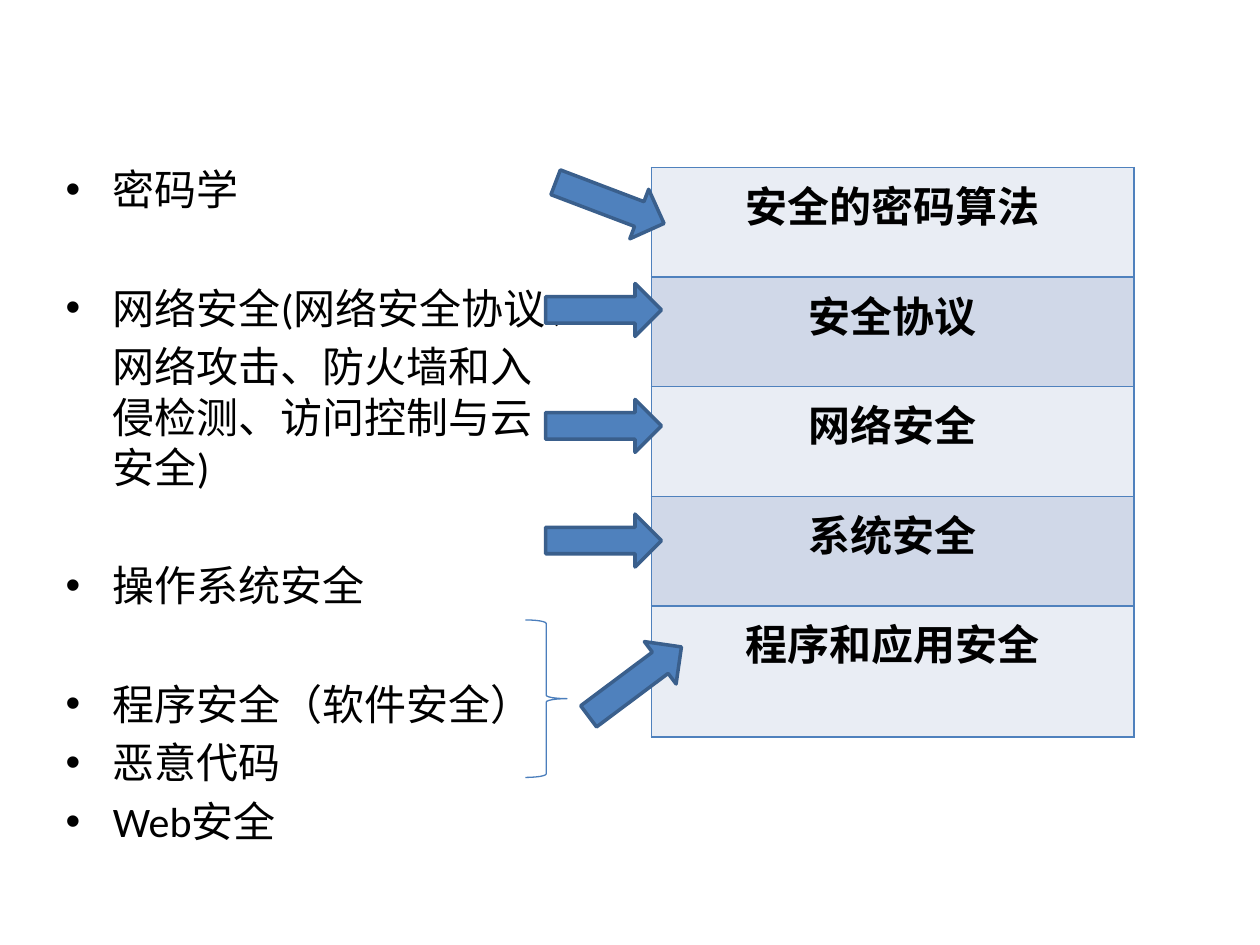
from lxml import etree
from pptx import Presentation
from pptx.dml.color import RGBColor
from pptx.enum.shapes import MSO_SHAPE
from pptx.enum.text import MSO_AUTO_SIZE, PP_ALIGN
from pptx.oxml.ns import qn
from pptx.util import Inches, Pt

ARROW, BRACE = MSO_SHAPE.RIGHT_ARROW, MSO_SHAPE.RIGHT_BRACE
CENTER = PP_ALIGN.CENTER
NO_FIT = MSO_AUTO_SIZE.NONE

BULLET, PLAIN = True, False
TIGHT, WIDE = 4.8, 38.8  # space before a paragraph, in points
TOPICS = [
    ("密码学", BULLET, 0),
    ("网络安全(网络安全协议、", BULLET, WIDE),
    ("网络攻击、防火墙和入侵检测、访问控制与云安全)", PLAIN, TIGHT),
    ("操作系统安全", BULLET, WIDE),
    ("程序安全（软件安全）", BULLET, WIDE),
    ("恶意代码", BULLET, TIGHT),
    ("Web安全", BULLET, TIGHT),
]
LAYERS = ["安全的密码算法", "安全协议", "网络安全", "系统安全", "程序和应用安全"]
ROW_HEIGHTS = [0.87] * 4 + [1.04]
ARROWS = [  # left, top, rotation
    (4.38, 1.4, 20.8),
    (4.58, 5.2, 323.2),
    (4.33, 4.08, 0),
    (4.33, 3.17, 0),
    (4.33, 2.25, 0),
]


def rgb(color):
    return RGBColor.from_string(color)


class SlideBuilder:
    FONT, SIZE, TEXT = "Calibri", 24, "000000"
    BLUE, OUTLINE, BRACE_LINE = "4F81BD", "3A5F8C", "4B7EBC"
    BANDS = ("E9EDF4", "D0D8E8")

    def __init__(self, prs):
        self.s = prs.slides.add_slide(prs.slide_layouts[1])
        title = self.s.shapes.title.element
        title.getparent().remove(title)

    def run(self, p, text, bold=False):
        r = p.add_run()
        r.text = text
        r.font.name, r.font.size, r.font.bold = self.FONT, Pt(self.SIZE), bold
        r.font.color.rgb = rgb(self.TEXT)

    def topics(self, items, left, top, width, height):
        sp = self.s.placeholders[1]
        sp.left, sp.top = Inches(left), Inches(top)
        sp.width, sp.height = Inches(width), Inches(height)
        tf = sp.text_frame
        tf.auto_size = NO_FIT
        for i, (text, bullet, space) in enumerate(items):
            p = tf.add_paragraph() if i else tf.paragraphs[0]
            p.space_before = Pt(space)
            if not bullet:
                pPr = p._p.get_or_add_pPr()
                pPr.set("indent", "0")
                etree.SubElement(pPr, qn("a:buNone"))
            self.run(p, text)

    def border(self, cell):
        """Outline all four sides of a table cell."""
        tcPr = cell._tc.get_or_add_tcPr()
        for i, side in enumerate(("lnL", "lnR", "lnT", "lnB")):
            ln = etree.Element(qn(f"a:{side}"), w=str(Pt(1)))
            fill = etree.SubElement(ln, qn("a:solidFill"))
            etree.SubElement(fill, qn("a:srgbClr"), val=self.BLUE)
            tcPr.insert(i, ln)

    def layers(self, names, heights, left, top, width):
        table = self.s.shapes.add_table(
            len(names), 1, Inches(left), Inches(top),
            Inches(width), Inches(sum(heights))).table
        for i, (name, height) in enumerate(zip(names, heights)):
            table.rows[i].height = Inches(height)
            cell = table.cell(i, 0)
            cell.fill.solid()
            cell.fill.fore_color.rgb = rgb(self.BANDS[i % 2])
            self.border(cell)
            p = cell.text_frame.paragraphs[0]
            p.alignment = CENTER
            self.run(p, name, bold=True)

    def shape(self, kind, left, top, width, height, line, weight):
        sp = self.s.shapes.add_shape(
            kind, Inches(left), Inches(top), Inches(width), Inches(height))
        sp.shadow.inherit = False
        sp.line.color.rgb = rgb(line)
        sp.line.width = Pt(weight)
        return sp

    def arrow(self, left, top, rotation):
        sp = self.shape(ARROW, left, top, 0.92, 0.42, self.OUTLINE, 2)
        sp.fill.solid()
        sp.fill.fore_color.rgb = rgb(self.BLUE)
        sp.rotation = rotation

    def brace(self, left, top, width, height):
        sp = self.shape(BRACE, left, top, width, height, self.BRACE_LINE, 0.75)
        sp.fill.background()


def main():
    prs = Presentation()
    prs.slide_width, prs.slide_height = Inches(10), Inches(7.5)
    slide = SlideBuilder(prs)
    slide.topics(TOPICS, 0.42, 1.25, 4.08, 5.75)
    slide.layers(LAYERS, ROW_HEIGHTS, 5.17, 1.33, 3.83)
    slide.brace(4.17, 4.92, 0.33, 1.25)
    for left, top, rotation in ARROWS:
        slide.arrow(left, top, rotation)
    prs.save("out.pptx")


if __name__ == "__main__":
    main()
